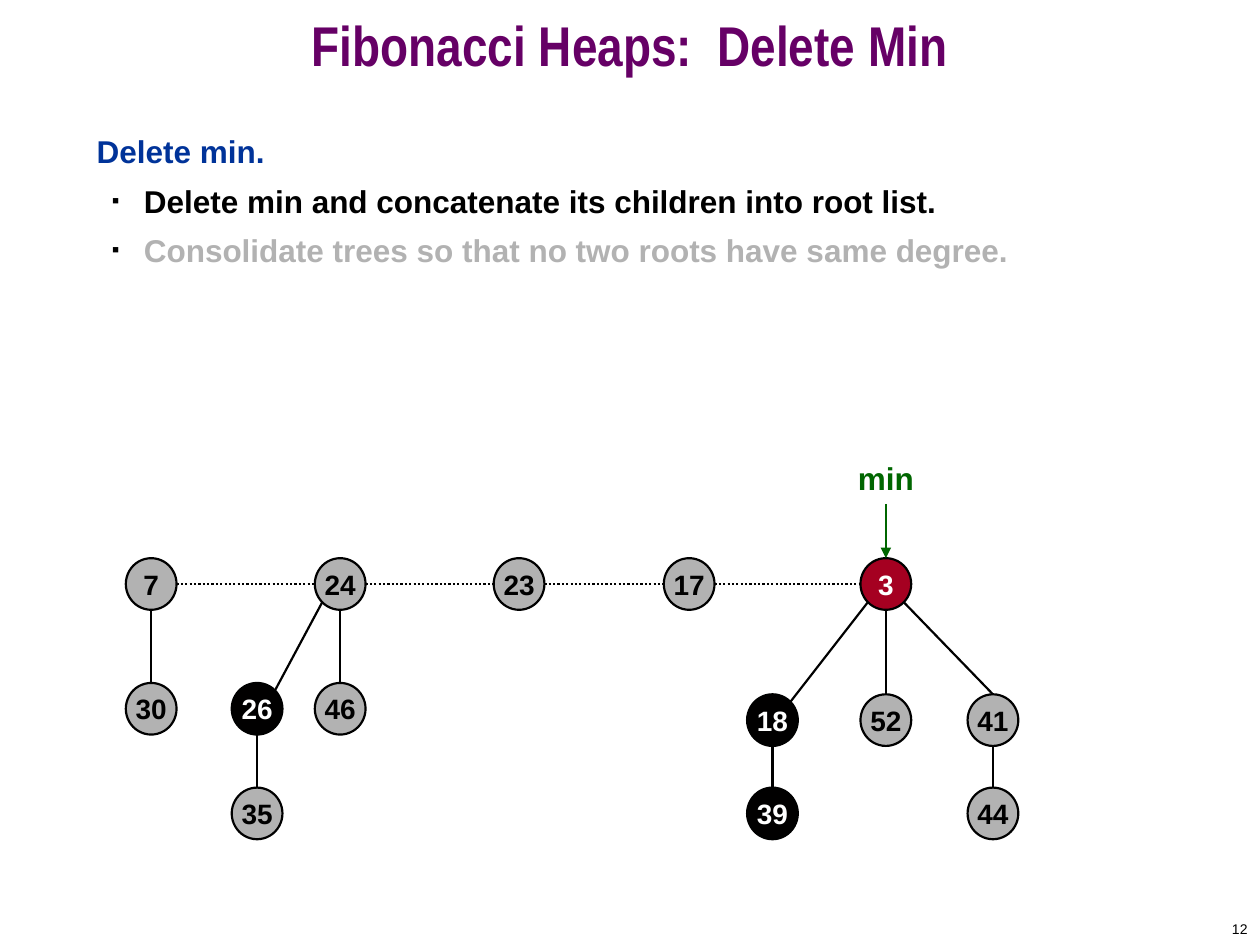
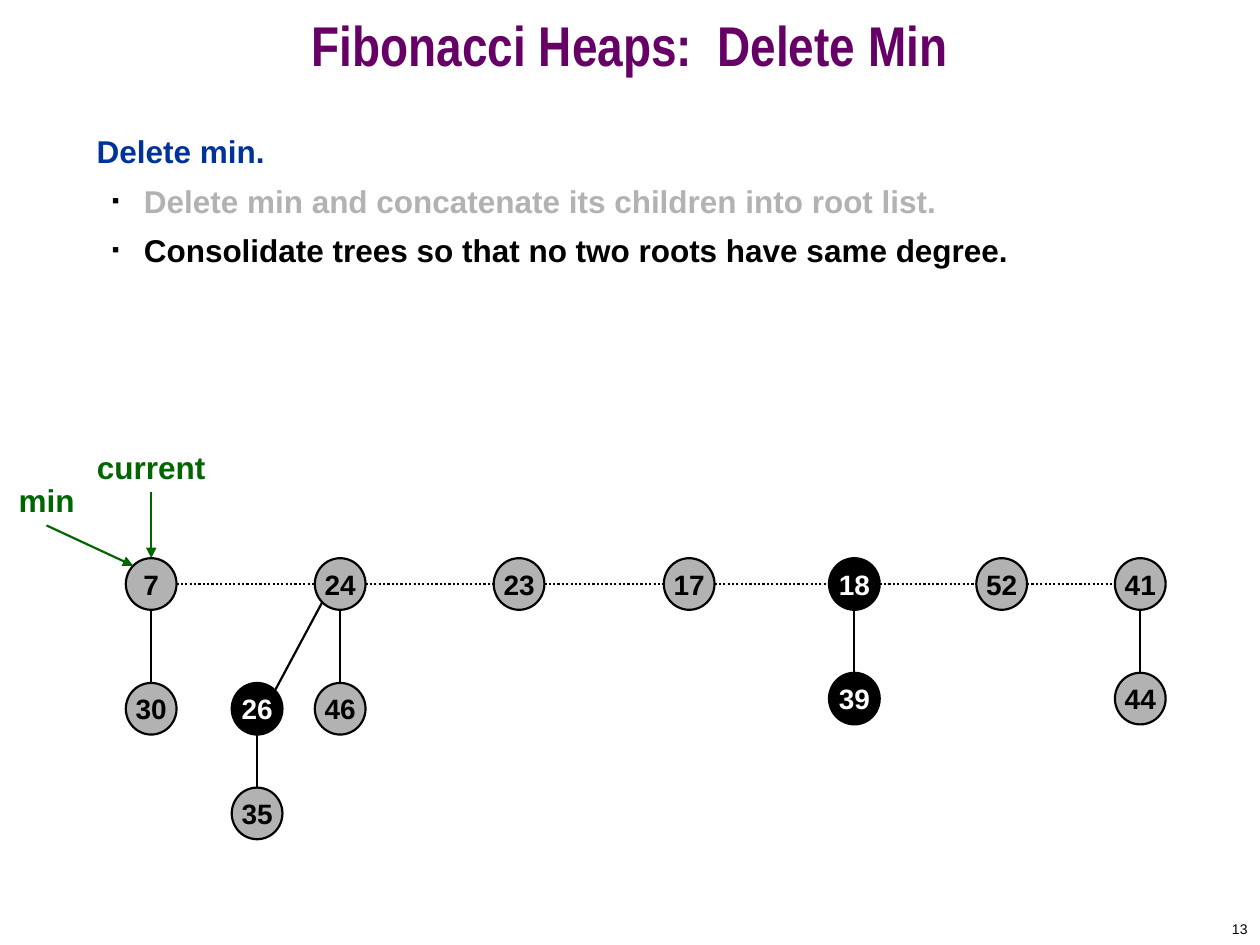
from itertools import pairwise
from lxml.etree import SubElement
from pptx import Presentation
from pptx.dml.color import RGBColor
from pptx.enum.dml import MSO_LINE
from pptx.enum.shapes import MSO_CONNECTOR, MSO_SHAPE
from pptx.enum.text import MSO_ANCHOR, MSO_AUTO_SIZE, PP_ALIGN
from pptx.oxml.ns import qn
from pptx.util import Pt

PURPLE = RGBColor(0x66, 0x00, 0x66)
BLUE = RGBColor(0x00, 0x33, 0x99)
GREEN = RGBColor(0x00, 0x66, 0x00)
RED = RGBColor(0xA5, 0x00, 0x21)
GRAY = RGBColor(0xB2, 0xB2, 0xB2)
INK = RGBColor(0x01, 0x00, 0x00)
BLACK = RGBColor(0x00, 0x00, 0x00)
WHITE = RGBColor(0xFF, 0xFF, 0xFF)

TITLE = "Fibonacci Heaps:  Delete Min"
HEADING = "Delete min."
STEPS = [
    "Delete min and concatenate its children into root list.",
    "Consolidate trees so that no two roots have same degree.",
]
MARKED = {"18", "26", "39"}
ROOT_Y = 333.7
NODE_W, NODE_H = 29, 29.5
LINE_W = 1.25
DIAGONAL = 0.707

SHARED_ROOTS = {"7": 86.4, "24": 194.4, "23": 296.6, "17": 393.8}
SHARED_CHILDREN = [
    ("30", "7", 86.4, 405),
    ("26", "24", 146.9, 405),
    ("46", "24", 194.4, 405),
    ("35", "26", 146.9, 464.8),
]
SLIDES = [
    {
        "number": "12",
        "active_step": 0,
        "minimum": "3",
        "roots": {"3": 506.2},
        "children": [
            ("18", "3", 441.4, 411.5),
            ("52", "3", 506.2, 411.5),
            ("41", "3", 567.4, 411.5),
            ("39", "18", 441.4, 464.8),
            ("44", "41", 567.4, 464.8),
        ],
        "pointers": [("min", "3", 506.2, 273.2)],
    },
    {
        "number": "13",
        "active_step": 1,
        "minimum": None,
        "roots": {"18": 488.2, "52": 572.4, "41": 651.6},
        "children": [
            ("39", "18", 488.2, 399.2),
            ("44", "41", 651.6, 399.2),
        ],
        "pointers": [("current", "7", 86.4, 266.7), ("min", "7", 26.6, 285.5)],
    },
]


def place(sp, left, top, width, height):
    sp.left, sp.top, sp.width, sp.height = map(Pt, (left, top, width, height))


def write(p, text, size=18, color=BLACK, font="Arial", bold=True, align=None, spacing=None, before=None):
    p.alignment = align
    p.line_spacing = spacing
    p.space_before = None if before is None else Pt(before)
    r = p.add_run()
    r.text = text
    r.font.name, r.font.size, r.font.bold = font, Pt(size), bold
    r.font.color.rgb = color


def set_bullet(p, char=None, margin=0, indent=0):
    pPr = p._p.get_or_add_pPr()
    pPr.set("marL", str(Pt(margin)))
    pPr.set("indent", str(Pt(indent)))
    if char is None:
        SubElement(pPr, qn("a:buNone"))
        return
    SubElement(SubElement(pPr, qn("a:buClr")), qn("a:srgbClr"), val=str(BLACK))
    SubElement(pPr, qn("a:buSzPct"), val="35000")
    SubElement(pPr, qn("a:buFont"), typeface="Arial")
    SubElement(pPr, qn("a:buChar"), char=char)


def add_label(s, text, left, top, width, height, **style):
    sp = s.shapes.add_textbox(Pt(left), Pt(top), Pt(width), Pt(height))
    tf = sp.text_frame
    tf.word_wrap = True
    tf.vertical_anchor = MSO_ANCHOR.MIDDLE
    write(tf.paragraphs[0], text, **style)
    return tf


def add_text(s, number, active_step):
    title, body = s.shapes.title, s.placeholders[1]
    place(title, 0, 0, 720, 60)
    place(body, 48, 72, 618, 426)
    for sp in (title, body):
        sp.text_frame.auto_size = MSO_AUTO_SIZE.NONE
    title.text_frame.vertical_anchor = MSO_ANCHOR.MIDDLE
    write(title.text_frame.paragraphs[0], TITLE, size=32, color=PURPLE,
          font="Arial Narrow", align=PP_ALIGN.CENTER, spacing=0.7)
    tf = body.text_frame
    write(tf.paragraphs[0], HEADING, color=BLUE, before=4.5)
    set_bullet(tf.paragraphs[0])
    for i, step in enumerate(STEPS):
        p = tf.add_paragraph()
        p.level = 1
        write(p, step, color=BLACK if i == active_step else GRAY, spacing=1.1, before=4.5)
        set_bullet(p, "■", margin=27, indent=-18)
    add_label(s, number, 570, 522, 150, 18, size=8, bold=False, align=PP_ALIGN.RIGHT)


def add_node(s, key, x, y, fill):
    sp = s.shapes.add_shape(MSO_SHAPE.OVAL, Pt(x - NODE_W / 2), Pt(y - NODE_H / 2), Pt(NODE_W), Pt(NODE_H))
    sp.shadow.inherit = False
    sp.fill.solid()
    sp.fill.fore_color.rgb = fill
    sp.line.color.rgb, sp.line.width = BLACK, Pt(LINE_W)
    tf = sp.text_frame
    tf.word_wrap = False
    tf.vertical_anchor = MSO_ANCHOR.MIDDLE
    write(tf.paragraphs[0], key, size=16, color=BLACK if fill == GRAY else WHITE, align=PP_ALIGN.CENTER)


def rim(center, dx, dy):
    scale = DIAGONAL if dx and dy else 1
    return center[0] + dx * scale * NODE_W / 2, center[1] + dy * scale * NODE_H / 2


def add_line(s, start, end, color=BLACK, dotted=False, arrow=False):
    cxn = s.shapes.add_connector(MSO_CONNECTOR.STRAIGHT, *map(Pt, (*start, *end)))
    cxn.line.color.rgb, cxn.line.width = color, Pt(LINE_W)
    if dotted:
        cxn.line.dash_style = MSO_LINE.ROUND_DOT
    if arrow:
        SubElement(cxn.line._get_or_add_ln(), qn("a:tailEnd"), type="triangle")
    SubElement(cxn._element.spPr, qn("a:effectLst"))


def add_heap(s, roots, children, minimum):
    centers = {key: (x, ROOT_Y) for key, x in roots.items()}
    centers.update({key: (x, y) for key, _, x, y in children})
    for left, right in pairwise(roots):
        add_line(s, rim(centers[left], 1, 0), rim(centers[right], -1, 0), dotted=True)
    for key, parent, x, _ in children:
        parent_x = centers[parent][0]
        side = (x > parent_x) - (x < parent_x)
        add_line(s, rim(centers[parent], side, 1), rim(centers[key], 1 if side < 0 else 0, -1))
    for key, center in centers.items():
        fill = RED if key == minimum else INK if key in MARKED else GRAY
        add_node(s, key, *center, fill)
    return centers


def add_pointer(s, text, target, x, y):
    width = min(72, 2 * x)
    tf = add_label(s, text, x - width / 2, y - NODE_H / 2, width, NODE_H,
                   color=GREEN, align=PP_ALIGN.CENTER)
    tf.margin_left = tf.margin_right = 0
    side = -1 if x < target[0] else 0
    add_line(s, (x, y + NODE_H / 2), rim(target, side, -1), color=GREEN, arrow=True)


def main():
    prs = Presentation()
    prs.slide_width, prs.slide_height = Pt(720), Pt(540)
    for page in SLIDES:
        s = prs.slides.add_slide(prs.slide_layouts[1])
        add_text(s, page["number"], page["active_step"])
        centers = add_heap(s, SHARED_ROOTS | page["roots"],
                           SHARED_CHILDREN + page["children"], page["minimum"])
        for text, key, x, y in page["pointers"]:
            add_pointer(s, text, centers[key], x, y)
    prs.save("out.pptx")


if __name__ == "__main__":
    main()
